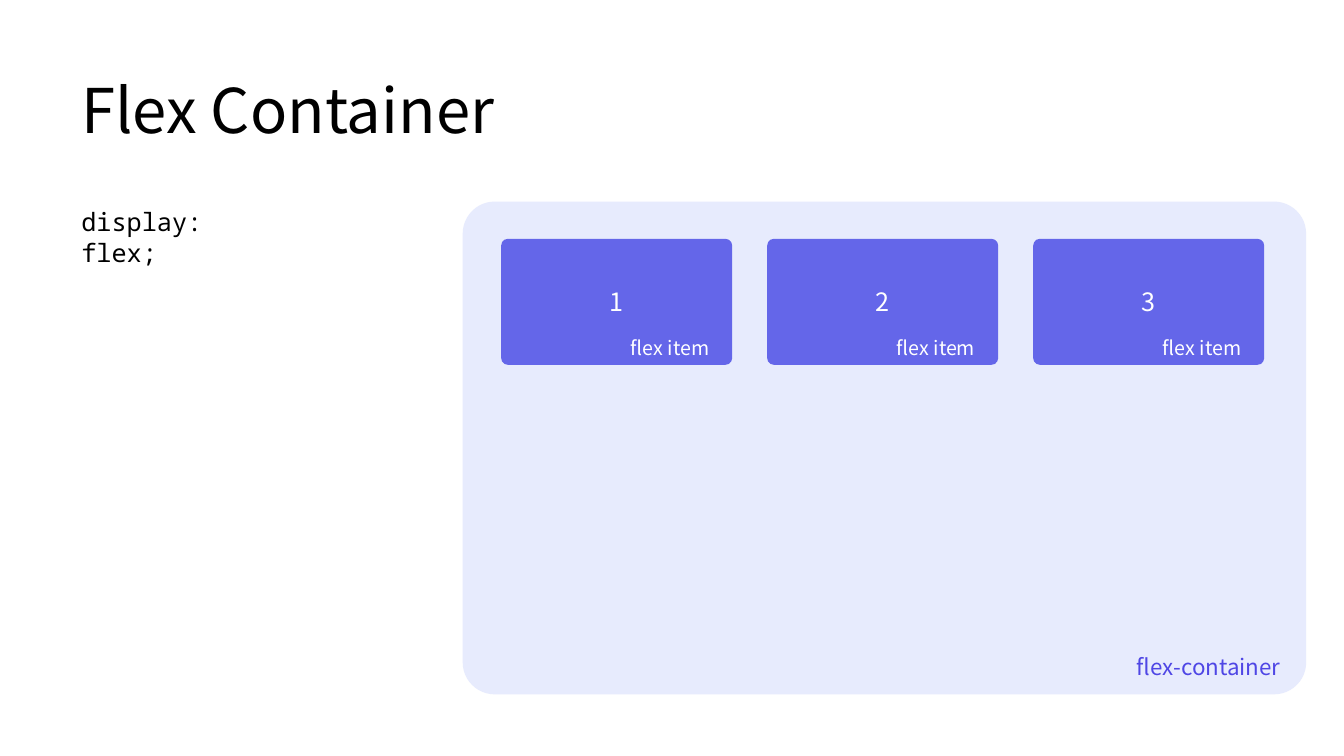
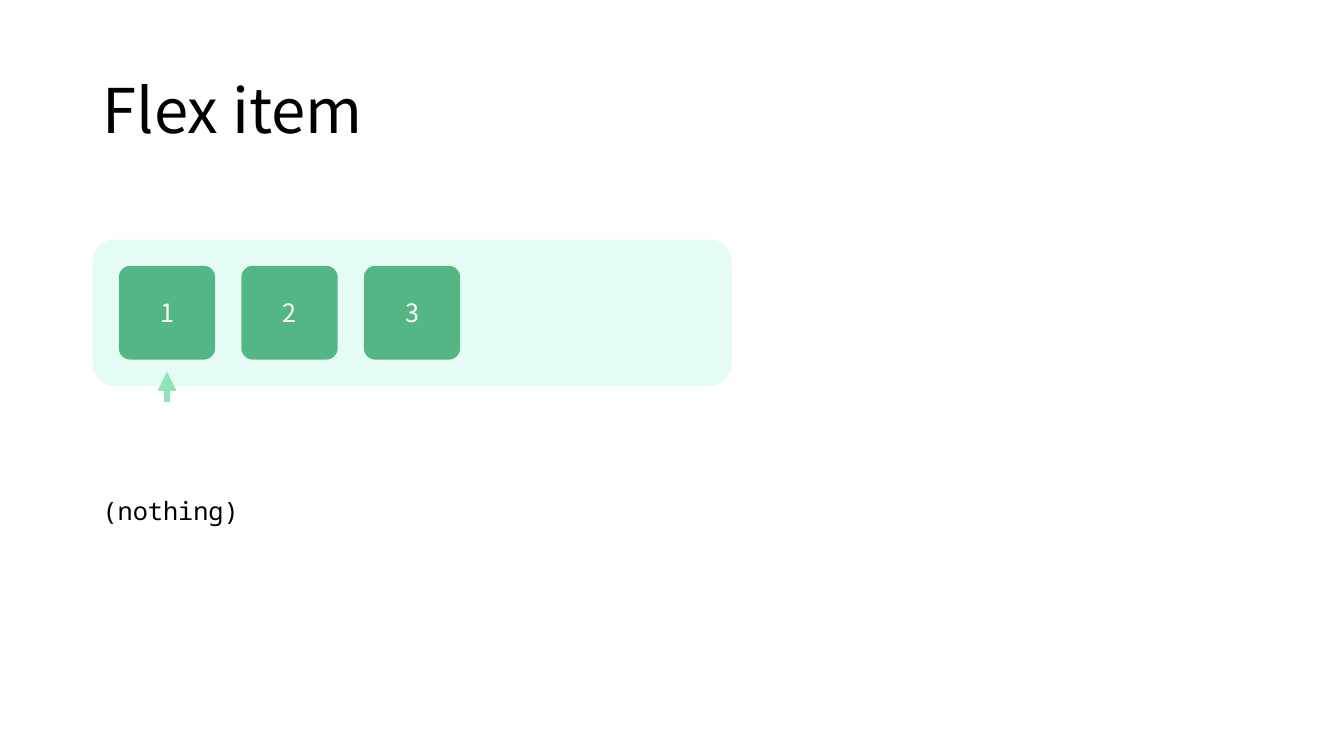
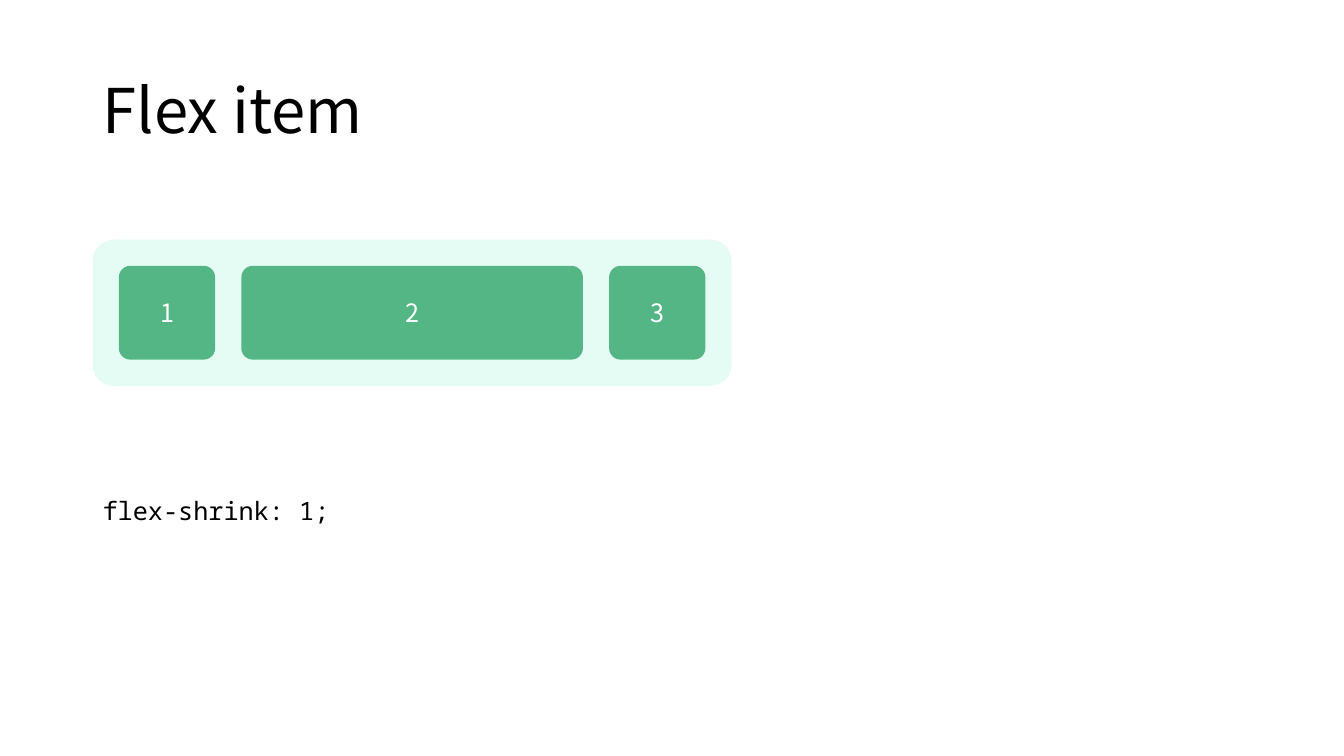
"""Build three slides that explain flex containers and flex items."""
from dataclasses import dataclass

from lxml.etree import SubElement
from pptx import Presentation
from pptx.dml.color import RGBColor
from pptx.enum.shapes import MSO_CONNECTOR, MSO_SHAPE
from pptx.enum.text import MSO_ANCHOR, PP_ALIGN
from pptx.oxml.ns import qn
from pptx.util import Pt


@dataclass(frozen=True)
class Theme:
    background: str = "FFFFFF"
    text: str = "000000"
    light_text: str = "FFFFFF"
    indigo: str = "6466E9"
    indigo_pale: str = "E7EBFD"
    indigo_label: str = "4F46E5"
    green: str = "55B685"
    green_pale: str = "E5FCF4"
    green_arrow: str = "8EE4BA"
    sans: str = "Noto Sans CJK SC"
    mono: str = "Noto Sans Mono"
    title_size: float = 44
    body_size: float = 18
    label_size: float = 16
    small_size: float = 14


THEME = Theme()
SLIDE_SIZE = (960, 540)
TITLE_RIGHT = 894
NUMBERS = ["1", "2", "3"]

CONTAINER_SLIDE = {
    "title": "Flex Container",
    "left": 51,
    "code": "display: flex;",
    "code_box": (51, 144, 154, 29),
    "label": "flex-container",
    "item_label": "flex item",
}
ITEM_LEFT = 66.2
ITEM_CODE_BOX = (ITEM_LEFT, 350.6, 211, 29)
ITEM_SLIDES = [
    {"code": "(nothing)", "growing": None, "arrow": 0},
    {"code": "flex-shrink: 1;", "growing": 1, "arrow": None},
]

INDIGO_CONTAINER = (330.5, 144, 602.5, 352)
INDIGO_ITEM = {"left": 358, "top": 170.6, "width": 165, "height": 90, "gap": 25}
GREEN_CONTAINER = (ITEM_LEFT, 171.2, 456.4, 104.4)
GREEN_GAP = 18.7
GREEN_ITEM_WIDTH = 68.8


def points(*lengths):
    return [Pt(length) for length in lengths]


def write(frame, text, size=THEME.body_size, font=THEME.sans, color=THEME.text,
          align=PP_ALIGN.LEFT, anchor=MSO_ANCHOR.TOP, line_spacing=None):
    frame.word_wrap = True
    frame.vertical_anchor = anchor
    paragraph = frame.paragraphs[0]
    paragraph.alignment = align
    if line_spacing:
        paragraph.line_spacing = line_spacing
    run = paragraph.add_run()
    run.text = text
    run.font.size = Pt(size)
    run.font.name = font
    run.font.color.rgb = RGBColor.from_string(color)


def add_text(slide, box, text, **text_format):
    write(slide.shapes.add_textbox(*points(*box)).text_frame, text, **text_format)


def add_rounded(slide, box, fill, corner):
    shape = slide.shapes.add_shape(MSO_SHAPE.ROUNDED_RECTANGLE, *points(*box))
    shape.adjustments[0] = corner
    shape.shadow.inherit = False
    shape.fill.solid()
    shape.fill.fore_color.rgb = RGBColor.from_string(fill)
    shape.line.fill.background()
    return shape


def add_items(slide, left, top, widths, height, gap, fill, corner):
    """Draw numbered items in a row and return their left edges."""
    lefts = []
    for number, width in zip(NUMBERS, widths):
        item = add_rounded(slide, (left, top, width, height), fill, corner)
        write(item.text_frame, number, color=THEME.light_text,
              align=PP_ALIGN.CENTER, anchor=MSO_ANCHOR.MIDDLE)
        lefts.append(left)
        left += width + gap
    return lefts


def add_up_arrow(slide, x, bottom, top):
    arrow = slide.shapes.add_connector(
        MSO_CONNECTOR.STRAIGHT, *points(x, bottom, x, top))
    arrow.line.color.rgb = RGBColor.from_string(THEME.green_arrow)
    arrow.line.width = Pt(4.5)
    SubElement(arrow.line._get_or_add_ln(), qn("a:tailEnd"), type="triangle")
    SubElement(arrow._element.spPr, qn("a:effectLst"))


def add_slide(presentation, title, left, code, code_box):
    slide = presentation.slides.add_slide(presentation.slide_layouts[6])
    slide.background.fill.solid()
    slide.background.fill.fore_color.rgb = RGBColor.from_string(THEME.background)
    add_text(slide, (left, 28.8, TITLE_RIGHT - left, 104.4), title,
             size=THEME.title_size, anchor=MSO_ANCHOR.MIDDLE, line_spacing=0.9)
    add_text(slide, code_box, code, font=THEME.mono)
    return slide


def add_container_slide(presentation, content):
    slide = add_slide(presentation, content["title"], content["left"],
                      content["code"], content["code_box"])
    add_rounded(slide, INDIGO_CONTAINER, THEME.indigo_pale, 0.065)
    add_text(slide, (805, 463, 121.7, 26.6), content["label"],
             size=THEME.label_size, color=THEME.indigo_label)
    item = INDIGO_ITEM
    lefts = add_items(slide, item["left"], item["top"],
                      [item["width"]] * len(NUMBERS), item["height"],
                      item["gap"], THEME.indigo, 0.053)
    for left in lefts:
        add_text(slide, (left + 85.5, item["top"] + 65.6, 75, 24.4),
                 content["item_label"], size=THEME.small_size,
                 color=THEME.light_text)


def add_item_slide(presentation, code, growing, arrow):
    slide = add_slide(presentation, "Flex item", ITEM_LEFT, code, ITEM_CODE_BOX)
    add_rounded(slide, GREEN_CONTAINER, THEME.green_pale, 0.143)
    left, top, width, height = GREEN_CONTAINER
    widths = [GREEN_ITEM_WIDTH] * len(NUMBERS)
    if growing is not None:
        widths[growing] += width - sum(widths) - GREEN_GAP * (len(widths) + 1)
    lefts = add_items(slide, left + GREEN_GAP, top + GREEN_GAP, widths,
                      height - 2 * GREEN_GAP, GREEN_GAP, THEME.green, 0.122)
    if arrow is not None:
        add_up_arrow(slide, lefts[arrow] + widths[arrow] / 2, 287.3, 265.7)


def main():
    presentation = Presentation()
    presentation.slide_width, presentation.slide_height = points(*SLIDE_SIZE)
    add_container_slide(presentation, CONTAINER_SLIDE)
    for content in ITEM_SLIDES:
        add_item_slide(presentation, **content)
    presentation.save("out.pptx")


if __name__ == "__main__":
    main()
